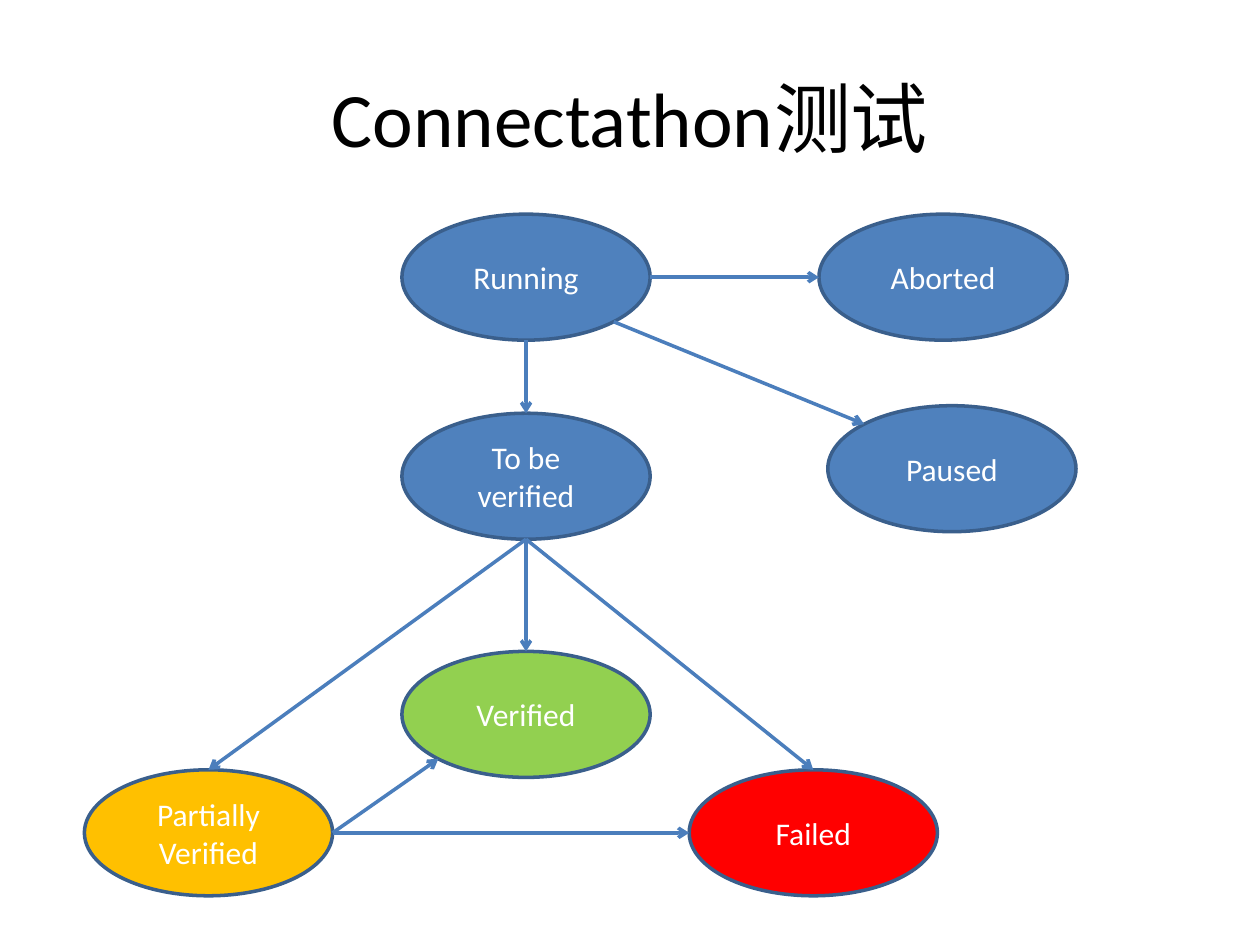
import math

from lxml import etree
from pptx import Presentation
from pptx.dml.color import RGBColor
from pptx.enum import shapes, text
from pptx.oxml.ns import qn
from pptx.util import Inches, Pt

BLUE = RGBColor(0x4F, 0x81, 0xBD)
AMBER = RGBColor(0xFF, 0xC0, 0x00)
GREEN = RGBColor(0x92, 0xD0, 0x50)
RED = RGBColor(0xFF, 0x00, 0x00)
OUTLINE = RGBColor(0x3A, 0x5F, 0x8C)
ARROW = RGBColor(0x4B, 0x7E, 0xBC)
WHITE = RGBColor(0xFF, 0xFF, 0xFF)
BLACK = RGBColor(0x00, 0x00, 0x00)

STATE_W, STATE_H = 1.97, 1
# Angles in degrees, clockwise from the right-hand end of an ellipse
RIGHT, BOTTOM_RIGHT, BOTTOM, BOTTOM_LEFT, LEFT, TOP_LEFT, TOP = range(0, 271, 45)

STATES = {
    "Running": (3.19, 1.7, BLUE),
    "To be verified": (3.19, 3.28, BLUE),
    "Partially Verified": (0.67, 6.11, AMBER),
    "Verified": (3.19, 5.17, GREEN),
    "Failed": (5.47, 6.11, RED),
    "Paused": (6.57, 3.22, BLUE),
    "Aborted": (6.5, 1.7, BLUE),
}
TRANSITIONS = [
    ("Running", BOTTOM, "To be verified", TOP),
    ("To be verified", BOTTOM, "Verified", TOP),
    ("To be verified", BOTTOM, "Partially Verified", TOP),
    ("To be verified", BOTTOM, "Failed", TOP),
    ("Partially Verified", RIGHT, "Verified", BOTTOM_LEFT),
    ("Partially Verified", RIGHT, "Failed", LEFT),
    ("Running", RIGHT, "Aborted", LEFT),
    ("Running", BOTTOM_RIGHT, "Paused", TOP_LEFT),
]


def write_centred(shape, wording, size, color):
    frame = shape.text_frame
    frame.word_wrap = True
    frame.vertical_anchor = text.MSO_ANCHOR.MIDDLE
    paragraph = frame.paragraphs[0]
    paragraph.alignment = text.PP_ALIGN.CENTER
    run = paragraph.add_run()
    run.text = wording
    run.font.name = "Calibri"
    run.font.size = Pt(size)
    run.font.color.rgb = color


def rim_point(state, angle):
    """Return the point on a state's ellipse at the given angle."""
    left, top, _ = STATES[state]
    turn = math.radians(angle)
    return (Inches(left + STATE_W / 2 * (1 + math.cos(turn))),
            Inches(top + STATE_H / 2 * (1 + math.sin(turn))))


prs = Presentation()
prs.slide_width, prs.slide_height = Inches(10), Inches(7.5)
slide = prs.slides.add_slide(prs.slide_layouts[6])

title = slide.shapes.add_textbox(Inches(0.5), Inches(0.3), Inches(9), Inches(1.25))
write_centred(title, "Connectathon测试", 44, BLACK)

for name, (left, top, fill) in STATES.items():
    state = slide.shapes.add_shape(
        shapes.MSO_SHAPE.OVAL, Inches(left), Inches(top), Inches(STATE_W), Inches(STATE_H))
    state.shadow.inherit = False
    state.fill.solid()
    state.fill.fore_color.rgb = fill
    state.line.color.rgb = OUTLINE
    state.line.width = Pt(2)
    write_centred(state, name, 18, WHITE)

for source, exit_angle, target, entry_angle in TRANSITIONS:
    transition = slide.shapes.add_connector(
        shapes.MSO_CONNECTOR.STRAIGHT,
        *rim_point(source, exit_angle), *rim_point(target, entry_angle))
    transition.line.color.rgb = ARROW
    transition.line.width = Pt(2)
    properties = transition.element.spPr
    etree.SubElement(properties.find(qn("a:ln")), qn("a:tailEnd"), type="arrow")
    etree.SubElement(properties, qn("a:effectLst"))

prs.save("out.pptx")
